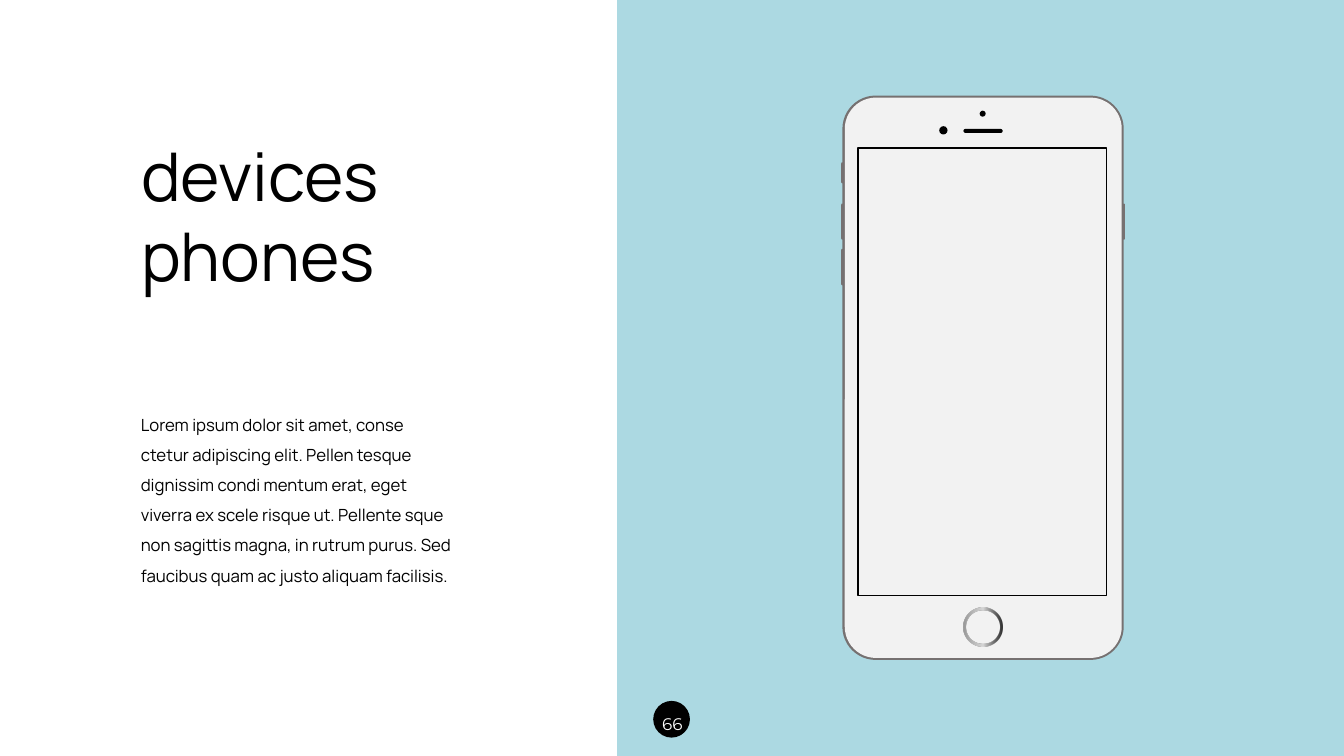
import pptx
import pptx.util
import pptx.oxml
import pptx.oxml.ns
from pptx.dml.color import RGBColor
from pptx.enum.shapes import MSO_SHAPE
from pptx.enum.text import MSO_ANCHOR, PP_ALIGN
from pptx.util import Cm, Pt

BLACK = RGBColor(0, 0, 0)
WHITE = RGBColor(255, 255, 255)
SKY = RGBColor(0xAC, 0xD9, 0xE2)
EDGE = RGBColor(0x76, 0x71, 0x71)
FACE = RGBColor(0xF2, 0xF2, 0xF2)

TITLE = "devices\nphones"
BODY = (
    "Lorem ipsum dolor sit amet, conse ctetur adipiscing elit. "
    "Pellen tesque dignissim condi mentum erat, eget viverra ex scele "
    "risque ut. Pellente sque non sagittis magna, in rutrum purus. "
    "Sed faucibus quam ac justo aliquam facilisis."
)
PAGE_NUMBER = "66"

RECTANGLE = MSO_SHAPE.RECTANGLE
ROUNDED = MSO_SHAPE.ROUNDED_RECTANGLE
OVAL = MSO_SHAPE.OVAL

PANEL = (RECTANGLE, (15.55, 0, 18.32, 19.05), SKY, None, None)
SIDE_BUTTONS = [(21.2, 4.09, 0.53), (21.2, 5.13, 0.91), (21.2, 6.27, 0.92), (28.15, 5.13, 0.91)]
BUTTON_WIDTH = 0.2
PHONE = [
    (ROUNDED, (21.23, 2.41, 7.09, 14.22), EDGE, None, 0.118),
    (ROUNDED, (21.29, 2.46, 6.98, 14.12), FACE, None, 0.113),
    (OVAL, (23.67, 3.18, 0.21, 0.21), BLACK, None, None),
    (OVAL, (24.69, 2.79, 0.15, 0.15), BLACK, None, None),
    (ROUNDED, (24.28, 3.25, 0.99, 0.1), BLACK, None, 0.5),
]
HOME_BUTTON = (MSO_SHAPE.DONUT, (24.28, 15.32, 0.99, 0.97), None, None, 0.077)
HOME_STOPS = [(0, "979797", 100), (50, "D7D7D7", 100), (100, "000000", 80)]
SCREEN = (RECTANGLE, (21.62, 3.73, 6.27, 11.28), None, BLACK, None)
PAGE_BADGE = (OVAL, (16.48, 17.68, 0.89, 0.89), BLACK, BLACK, None)


def add_part(shapes, kind, box, fill, line, adjustment):
    shape = shapes.add_shape(kind, *map(Cm, box))
    shape.shadow.inherit = False
    if adjustment is not None:
        shape.adjustments[0] = adjustment
    if fill is None:
        shape.fill.background()
    else:
        shape.fill.solid()
        shape.fill.fore_color.rgb = fill
    if line is None:
        shape.line.fill.background()
    else:
        shape.line.color.rgb = line
        shape.line.width = Pt(1)
    return shape


def set_gradient(shape, stops):
    stop_xml = "".join(
        f'<a:gs pos="{position * 1000}"><a:srgbClr val="{color}">'
        f'<a:alpha val="{alpha * 1000}"/></a:srgbClr></a:gs>'
        for position, color, alpha in stops
    )
    gradient = pptx.oxml.parse_xml(
        f'<a:gradFill {pptx.oxml.ns.nsdecls("a")}><a:gsLst>{stop_xml}</a:gsLst>'
        '<a:lin ang="0" scaled="0"/></a:gradFill>'
    )
    properties = shape.fill._xPr
    properties.replace(properties.find(pptx.oxml.ns.qn("a:noFill")), gradient)


def write_text(shape, text, font_name, size, color, spacing, alignment=PP_ALIGN.LEFT):
    frame = shape.text_frame
    frame.text = text
    frame.word_wrap = True
    frame.vertical_anchor = MSO_ANCHOR.TOP
    for paragraph in frame.paragraphs:
        paragraph.alignment = alignment
        paragraph.line_spacing = spacing
        paragraph.space_before = Pt(0)
        for run in paragraph.runs:
            run.font.name = font_name
            run.font.size = Pt(size)
            run.font.color.rgb = color


def main():
    presentation = pptx.Presentation()
    presentation.slide_width = Cm(33.87)
    presentation.slide_height = Cm(19.05)
    slide = presentation.slides.add_slide(presentation.slide_layouts[5])
    shapes = slide.shapes

    title = shapes.title
    title.left, title.top, title.width, title.height = map(Cm, (3.3, 3.25, 8.41, 4.37))
    write_text(title, TITLE, "Manrope", 48, BLACK, 1.0)

    add_part(shapes, *PANEL)
    for left, top, height in SIDE_BUTTONS:
        add_part(shapes, ROUNDED, (left, top, BUTTON_WIDTH, height), EDGE, None, 0.15)
    for part in PHONE:
        add_part(shapes, *part)
    set_gradient(add_part(shapes, *HOME_BUTTON), HOME_STOPS)
    add_part(shapes, *SCREEN)
    add_part(shapes, *PAGE_BADGE)

    number = shapes.add_textbox(*map(Cm, (16.31, 17.6, 1.27, 0.94)))
    write_text(number, PAGE_NUMBER, "Montserrat", 12, WHITE, 1.5, PP_ALIGN.CENTER)
    body = shapes.add_textbox(*map(Cm, (3.3, 10.06, 8.41, 5.64)))
    write_text(body, BODY, "Manrope", 12, BLACK, 1.5)

    presentation.save("out.pptx")


if __name__ == "__main__":
    main()
